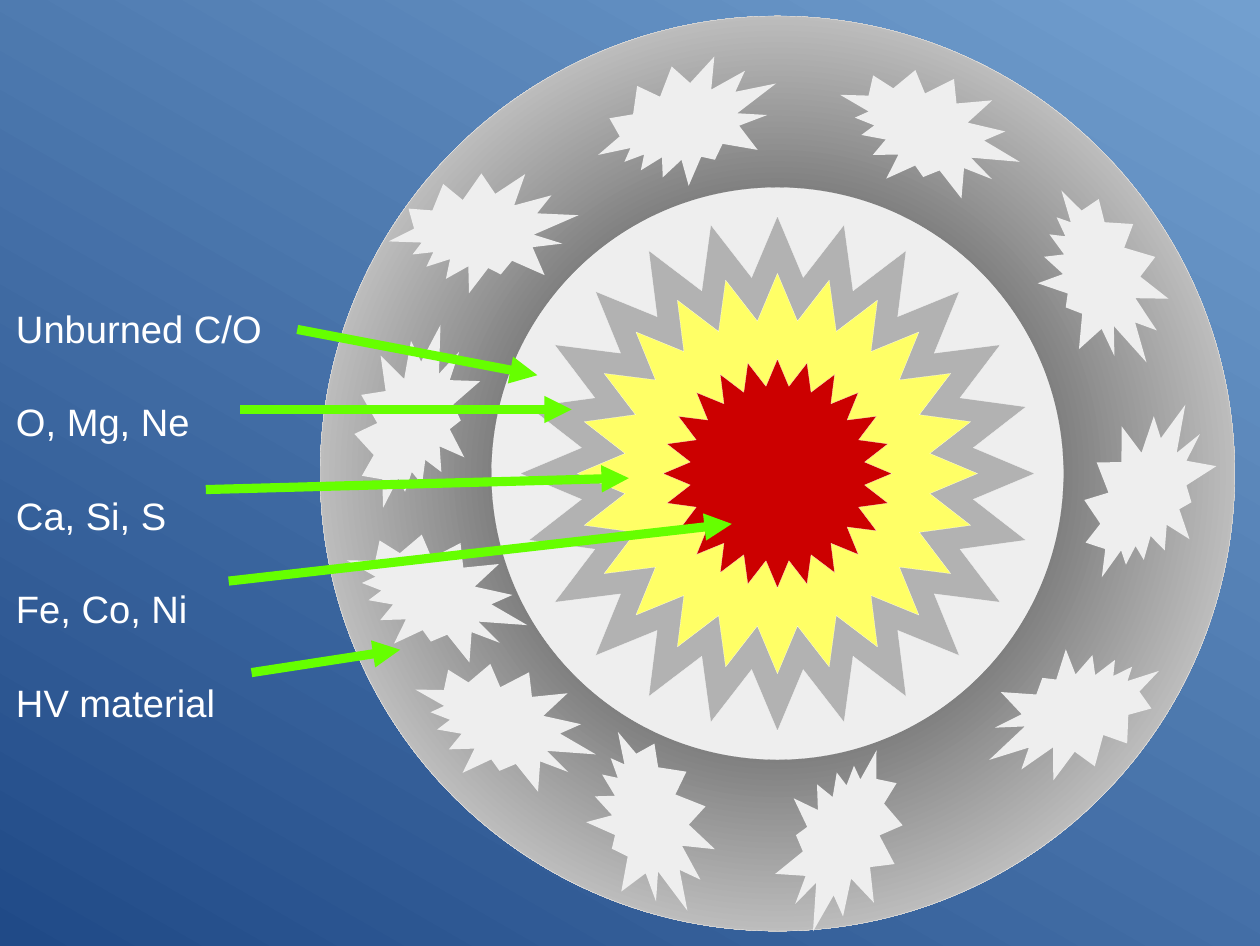
from lxml import etree
from pptx import Presentation
from pptx.dml.color import RGBColor
from pptx.enum.shapes import MSO_CONNECTOR as Link, MSO_SHAPE as Kind
from pptx.enum.text import MSO_AUTO_SIZE as Fit
from pptx.oxml import parse_xml
from pptx.oxml.ns import nsdecls, qn
from pptx.util import Inches, Pt

HEX = {"deep": "204A87", "sky": "729FCF", "dark": "1C1C1C", "white": "FFFFFF",
       "pale": "EEEEEE", "gray": "B2B2B2", "yellow": "FFFF66", "red": "CC0000",
       "green": "66FF00"}
CELL = Inches(0.1)
MID = (68, 41.4)
SEAL = (11, 16)
STARS = [(45, "gray"), (35, "yellow"), (20, "red")]
CLUMPS = [(31, 28.4, 0), (37, 12.4, 64.7), (54.9, 2.8, 50.7), (75.8, 3.7, 93),
          (90.7, 16.5, 136.2), (95, 35, 8.4), (88.1, 54.2, 224.9),
          (67.9, 65.5, 181.9), (51.2, 64.1, 141.3), (38.7, 55.6, 92.3),
          (32.7, 44.3, 92.3)]
LABELS = ["Unburned C/O", "O, Mg, Ne", "Ca, Si, S", "Fe, Co, Ni", "HV material"]
ARROWS = [((26, 28.8), (47, 32.8)), ((21, 35.8), (50, 35.8)),
          ((18, 42.8), (55, 41.8)), ((20, 50.8), (64, 45.8)),
          ((22, 58.8), (35, 56.8))]


def rgb(name):
    """Return the named colour."""
    return RGBColor.from_string(HEX[name])


def grid(*cells):
    """Turn grid cells into slide lengths."""
    return [round(n * CELL) for n in cells]


def blend(fill, first, last):
    """Give a fill a gradient between two colours."""
    fill.gradient()
    for stop, name in zip(fill.gradient_stops, (first, last)):
        stop.color.rgb = rgb(name)


def shape(slide, kind, left, top, wide, high, tint):
    """Add a plain filled shape without outline."""
    item = slide.shapes.add_shape(kind, *grid(left, top, wide, high))
    item.shadow.inherit = False
    item.fill.solid()
    item.fill.fore_color.rgb = rgb(tint)
    item.line.fill.background()
    return item


def layer(slide, kind, size, tint):
    """Add a layer around the core with a white hairline."""
    item = shape(slide, kind, MID[0] - size / 2, MID[1] - size / 2, size, size, tint)
    item.line.color.rgb = rgb("white")
    item.line.width = Pt(0.1)
    return item


def shell(slide):
    """Add the outer shell, shaded from its centre."""
    item = layer(slide, Kind.OVAL, 80, "gray")
    blend(item.fill, "dark", "white")
    line = item.element.spPr.find(qn("a:gradFill")).find(qn("a:lin"))
    glow = parse_xml(f'<a:path {nsdecls("a")} path="circle"><a:fillToRect '
                     'l="50000" t="50000" r="50000" b="50000"/></a:path>')
    line.getparent().replace(line, glow)


def star(slide, size, tint):
    """Add a spiky layer with 24 points."""
    layer(slide, Kind.STAR_24_POINT, size, tint).adjustments[0] = 0.384


def clump(slide, left, top, turn):
    """Add a turned clump of material."""
    shape(slide, Kind.EXPLOSION2, left, top, *SEAL, "pale").rotation = turn


def legend(slide):
    """Add the list of layer names."""
    box = slide.shapes.add_textbox(*grid(1.4, 26.7, 45, 34.4))
    frame = box.text_frame
    frame.word_wrap = True
    frame.auto_size = Fit.SHAPE_TO_FIT_TEXT
    frame.margin_left = frame.margin_right = 0
    frame.margin_top = frame.margin_bottom = 0
    frame.text = "\n".join(LABELS)
    for row, para in enumerate(frame.paragraphs):
        para.space_before = Pt(30 if row else 0)
        para.font.name = "Arial"
        para.font.size = Pt(24)
        para.font.color.rgb = rgb("white")


def arrow(slide, start, end):
    """Add a thick arrow from a name to its layer."""
    item = slide.shapes.add_connector(Link.STRAIGHT, *grid(*start, *end))
    item.line.color.rgb = rgb("green")
    item.line.width = Pt(5.75)
    etree.SubElement(item.line._get_or_add_ln(), qn("a:tailEnd"), type="triangle")
    etree.SubElement(item.element.spPr, qn("a:effectLst"))


def main():
    """Build the slide of stellar layers."""
    deck = Presentation()
    deck.slide_width, deck.slide_height = Inches(11.02), Inches(8.27)
    slide = deck.slides.add_slide(deck.slide_layouts[6])
    back = slide.background.fill
    blend(back, "deep", "sky")
    back.gradient_angle = 60
    shell(slide)
    layer(slide, Kind.OVAL, 50, "pale")
    for size, tint in STARS:
        star(slide, size, tint)
    for place in CLUMPS:
        clump(slide, *place)
    legend(slide)
    for start, end in ARROWS:
        arrow(slide, start, end)
    deck.save("out.pptx")


if __name__ == "__main__":
    main()
